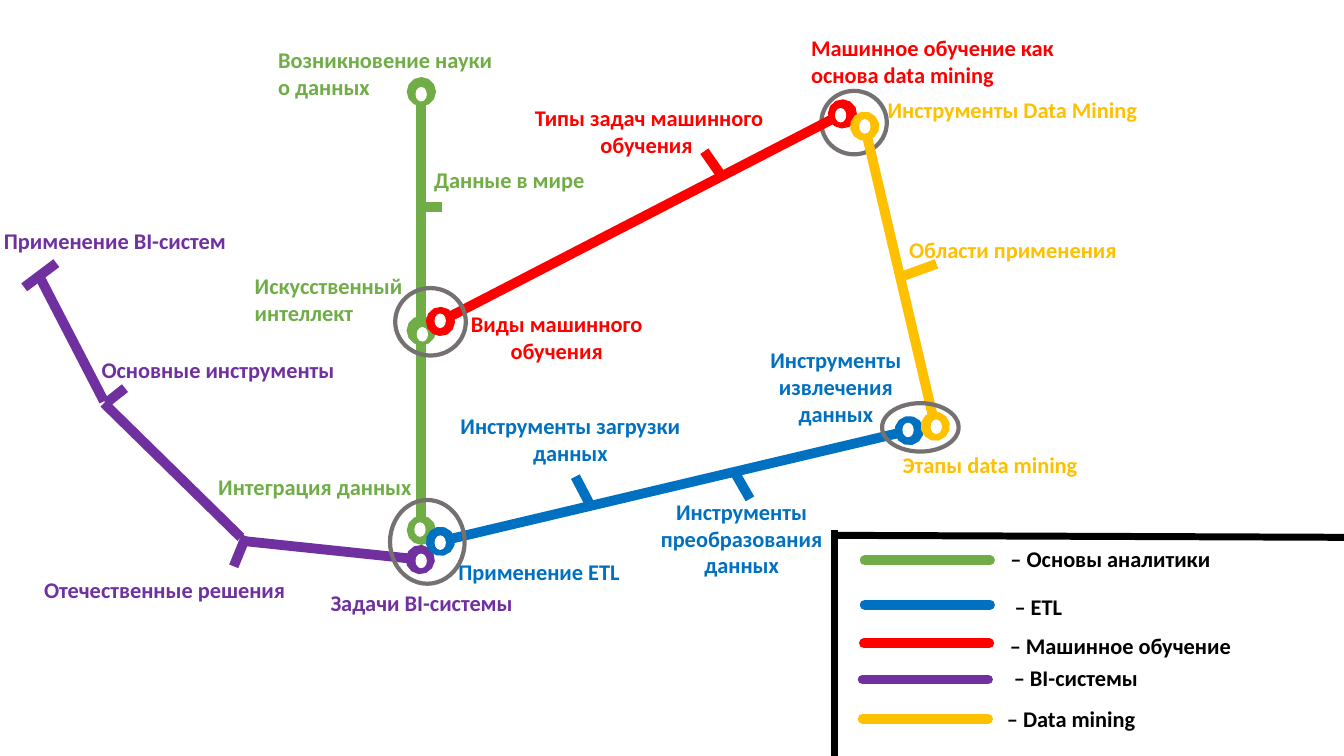
import pptx
import pptx.util
import pptx.dml.color
import pptx.enum.shapes
import pptx.enum.text
import pptx.oxml
import pptx.oxml.ns

Cm, Pt = pptx.util.Cm, pptx.util.Pt
RGBColor = pptx.dml.color.RGBColor
ALIGN = pptx.enum.text.PP_ALIGN
LEFT, CENTER, RIGHT = ALIGN.LEFT, ALIGN.CENTER, ALIGN.RIGHT

GREEN = RGBColor(0x70, 0xAD, 0x47)
PURPLE = RGBColor(0x70, 0x30, 0xA0)
BLUE = RGBColor(0x00, 0x70, 0xC0)
RED = RGBColor(0xFF, 0x00, 0x00)
YELLOW = RGBColor(0xFF, 0xC0, 0x00)
GRAY = RGBColor(0x76, 0x71, 0x71)
BLACK = RGBColor(0x00, 0x00, 0x00)
WHITE = RGBColor(0xFF, 0xFF, 0xFF)


class MetroMap:
    """Style and drawing methods for one slide; all lengths are in cm."""

    FONT = {"name": "Calibri", "size": Pt(16), "bold": True}
    FRAME = {"word_wrap": True,
             "auto_size": pptx.enum.text.MSO_AUTO_SIZE.SHAPE_TO_FIT_TEXT}
    TRACK_WIDTH = 7
    LINE_HEIGHT, EXTRA_LINE = 0.94, 0.68

    def __init__(self, slide):
        self.shapes = slide.shapes

    def track(self, start, end, color, width=TRACK_WIDTH, stations="", round_cap=False):
        """Straight line; stations lists the ends ("head", "tail") with a dot."""
        straight = pptx.enum.shapes.MSO_CONNECTOR.STRAIGHT
        track = self.shapes.add_connector(straight, *map(Cm, (*start, *end)))
        track.line.color.rgb = color
        track.line.width = Pt(width)
        outline = track.line._get_or_add_ln()
        if round_cap:
            outline.set("cap", "rnd")
        for side in stations.split():
            dot = pptx.oxml.parse_xml(
                f'<a:{side}End {pptx.oxml.ns.nsdecls("a")} type="oval"/>')
            outline.append(dot)
        track._element.spPr.append(
            pptx.oxml.parse_xml(f'<a:effectLst {pptx.oxml.ns.nsdecls("a")}/>'))

    def oval(self, left, top, width, height, color, line_width, filled=False):
        oval = self.shapes.add_shape(pptx.enum.shapes.MSO_SHAPE.OVAL,
                                     *map(Cm, (left, top, width, height)))
        oval.shadow.inherit = False
        if filled:
            oval.fill.solid()
            oval.fill.fore_color.rgb = color
        else:
            oval.fill.background()
        oval.line.color.rgb = color
        oval.line.width = Pt(line_width)

    def label(self, text, left, top, width, color, align=LEFT, lines=1):
        height = self.LINE_HEIGHT + self.EXTRA_LINE * (lines - 1)
        label = self.shapes.add_textbox(*map(Cm, (left, top, width, height)))
        for key, value in self.FRAME.items():
            setattr(label.text_frame, key, value)
        paragraph = label.text_frame.paragraphs[0]
        paragraph.alignment = align
        run = paragraph.add_run()
        run.text = text
        for key, value in self.FONT.items():
            setattr(run.font, key, value)
        run.font.color.rgb = color


# Routes: start, end, colour, ends with a station dot
ROUTES = [
    ((10.62, 2.31), (10.62, 8.33), GREEN, "head tail"),
    ((10.62, 8.33), (10.62, 13.36), GREEN, "head tail"),
    ((6.2, 13.64), (10.59, 14.1), PURPLE, "tail"),
    ((6.07, 13.54), (2.62, 10.16), PURPLE, ""),
    ((2.62, 10.11), (0.99, 6.96), PURPLE, ""),
    ((11.1, 13.64), (22.91, 10.85), BLUE, "head tail"),
    ((11.1, 8.1), (21.23, 2.87), RED, "head tail"),
    ((21.79, 3.18), (23.57, 10.74), YELLOW, "head tail"),
]
# Short ticks that mark the intermediate stops
STOPS = [
    ((10.62, 5.21), (11.13, 5.21), GREEN),
    ((5.89, 14.27), (6.2, 13.51), PURPLE),
    ((2.67, 10.16), (3.15, 9.78), PURPLE),
    ((1.42, 6.63), (0.61, 7.24), PURPLE),
    ((14.5, 12.01), (14.86, 12.7), BLUE),
    ((18.52, 11.91), (18.9, 12.57), BLUE),
    ((17.75, 3.81), (18.21, 4.47), RED),
    ((23.6, 6.65), (22.66, 6.99), YELLOW),
]
# Rings around the interchanges
LEARNING_TO_MINING = (20.7, 2.29, 1.65, 1.6)
INTERCHANGES = [
    (9.83, 12.6, 1.88, 2.11),
    (22.23, 10.16, 1.93, 1.22),
    (9.96, 7.26, 1.78, 1.7),
]
STATION_CENTERS = [
    (23.47, 10.59), (22.76, 10.67), (21.67, 3.02), (21.06, 2.74), (10.97, 7.92),
    (10.52, 8.26), (10.46, 13.18), (10.97, 13.51), (10.49, 13.97), (10.49, 2.21),
]
# Station names: text, left, top, width, colour, alignment, lines
STATION_NAMES = [
    ("Возникновение науки о данных", 6.76, 1.04, 6.12, GREEN, LEFT, 2),
    ("Данные в мире", 10.69, 4.06, 6.12, GREEN),
    ("Искусственный интеллект", 6.17, 6.73, 4.34, GREEN, LEFT, 2),
    ("Интеграция данных", 5.03, 11.81, 5.59, GREEN, RIGHT),
    ("Применение BI-систем", -0.15, 5.61, 6.6, PURPLE),
    ("Основные инструменты", 2.31, 8.84, 7.11, PURPLE),
    ("Отечественные решения", 0.86, 14.4, 7.04, PURPLE),
    ("Задачи BI-системы", 8.08, 14.73, 6.12, PURPLE),
    ("Применение ETL", 10.74, 13.94, 5.69, BLUE, CENTER),
    ("Инструменты загрузки данных", 10.49, 10.26, 7.77, BLUE, CENTER, 2),
    ("Инструменты преобразования данных", 15.49, 12.42, 6.4, BLUE, CENTER, 3),
    ("Инструменты извлечения данных", 18.69, 8.61, 4.75, BLUE, CENTER, 3),
    ("Виды машинного обучения", 11.2, 7.7, 5.66, RED, CENTER, 2),
    (" Типы задач машинного обучения", 12.98, 2.51, 6.63, RED, CENTER, 2),
    ("Машинное обучение как основа data mining", 20.19, 0.74, 6.63, RED, LEFT, 2),
    ("Инструменты Data Mining", 22.12, 2.31, 6.83, YELLOW),
    ("Области применения", 22.66, 5.82, 7.57, YELLOW),
    ("Этапы data mining", 22.5, 11.25, 5.31, YELLOW),
]
# Legend: sample left and top, colour, then text, left, top, width, alignment
LEGEND = [
    (21.79, 14.12, GREEN, "– Основы аналитики", 23.22, 13.61, 9.53, CENTER),
    (21.79, 15.24, BLUE, "– ETL", 25.32, 14.83, 9.53, LEFT),
    (21.77, 16.21, RED, "– Машинное обучение", 23.47, 15.8, 9.53, CENTER),
    (21.74, 17.12, PURPLE, "– BI-системы", 25.3, 16.61, 4.55, LEFT),
    (21.74, 18.11, YELLOW, "– Data mining", 22.23, 17.65, 9.53, CENTER),
]
SAMPLE_LENGTH = 3.16
LEGEND_BORDERS = [
    ((21.03, 19.1), (21.03, 13.36)),
    ((33.96, 13.54), (21.11, 13.49)),
]


def main():
    deck = pptx.Presentation()
    deck.slide_width, deck.slide_height = Cm(33.87), Cm(19.05)
    metro = MetroMap(deck.slides.add_slide(deck.slide_layouts[6]))

    # Routes and stops; this ring lies under the tracks, the others above
    metro.oval(*LEARNING_TO_MINING, GRAY, 3)
    for start, end, color, stations in ROUTES:
        metro.track(start, end, color, stations=stations)
    for stop in STOPS:
        metro.track(*stop)

    # Interchanges and stations
    for ring in INTERCHANGES:
        metro.oval(*ring, GRAY, 3)
    for left, top in STATION_CENTERS:
        metro.oval(left, top, 0.25, 0.33, WHITE, 1, filled=True)
    for name in STATION_NAMES:
        metro.label(*name)

    # Legend
    for x, y, color, text, left, top, width, align in LEGEND:
        metro.track((x, y), (x + SAMPLE_LENGTH, y), color, round_cap=True)
        metro.label(text, left, top, width, BLACK, align)
    for border in LEGEND_BORDERS:
        metro.track(*border, BLACK, width=5)

    deck.save("out.pptx")


if __name__ == "__main__":
    main()
